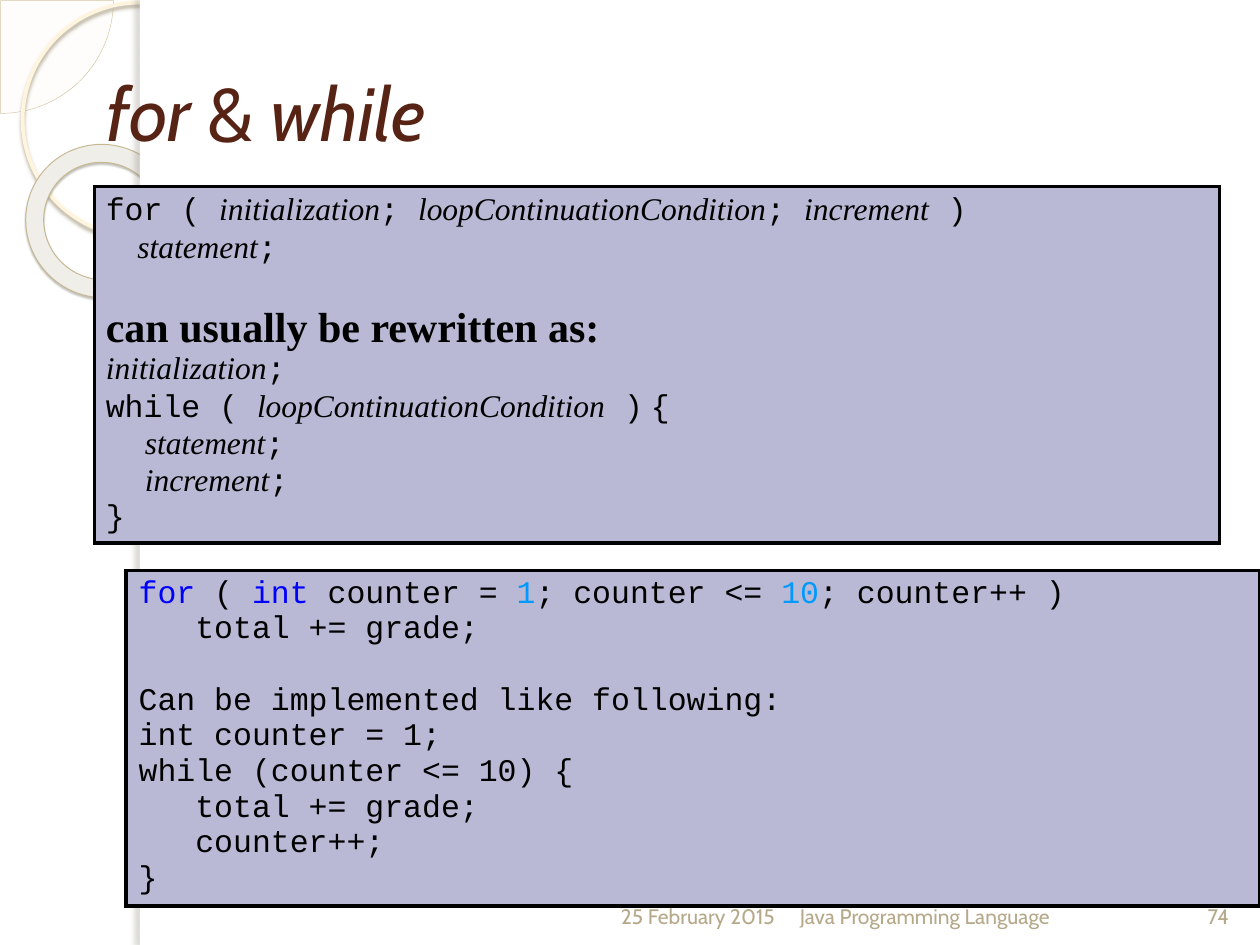
from lxml.etree import SubElement
from pptx import Presentation
from pptx.dml.color import RGBColor
from pptx.enum.shapes import MSO_SHAPE
from pptx.enum.text import MSO_ANCHOR, PP_ALIGN
from pptx.oxml.ns import qn
from pptx.util import Inches, Pt

MONO, SERIF, SANS = "Courier New", "Times New Roman", "Cabin"
BLACK, BLUE, CYAN = "000000", "0000FF", "0099FF"
BROWN, TAN, PANEL, WHITE = "572314", "B6A98A", "B9B9D5", "FFFFFF"
# Line heights in points
CODE_LINE, MIXED_LINE, HEADING_LINE = 20.4, 21.4, 27.6


def color(value):
    return RGBColor.from_string(value)


def place(values):
    return [Inches(value) for value in values]


def add_color(parent, value, alpha=None):
    node = SubElement(parent, qn("a:srgbClr"), val=value)
    if alpha is not None:
        SubElement(node, qn("a:alpha"), val=str(alpha * 1000))


def add_decoration(page, kind, at, fill=None, line=None, shadow=None, alpha=None):
    """line is (color, points); shadow is (color, alpha, blur, distance, angle)."""
    shape = page.shapes.add_shape(kind, *place(at))
    shape.shadow.inherit = False
    if fill:
        shape.fill.solid()
        shape.fill.fore_color.rgb = color(fill)
        if alpha is not None:
            node = shape.element.spPr.find(qn("a:solidFill"))[0]
            SubElement(node, qn("a:alpha"), val=str(alpha * 1000))
    else:
        shape.fill.background()
    if line:
        shape.line.color.rgb = color(line[0])
        shape.line.width = Pt(line[1])
    else:
        shape.line.fill.background()
    if shadow:
        tint, opacity, blur, distance, angle = shadow
        effects = shape.element.spPr.find(qn("a:effectLst"))
        node = SubElement(effects, qn("a:outerShdw"), blurRad=str(Pt(blur)),
                          dist=str(Pt(distance)), dir=str(angle * 60000),
                          algn="tl", rotWithShape="0")
        add_color(node, tint, opacity)
    return shape


def add_span(para, text, size, font, tint, italic=False, bold=False):
    span = para.add_run()
    span.text = text
    span.font.size = Pt(size)
    span.font.name = font
    span.font.color.rgb = color(tint)
    span.font.italic = italic
    span.font.bold = bold


def add_label(page, at, spans, size, tint, anchor, align=PP_ALIGN.LEFT):
    """spans holds (text, italic) pairs."""
    frame = page.shapes.add_textbox(*place(at)).text_frame
    frame.word_wrap = True
    frame.vertical_anchor = anchor
    para = frame.paragraphs[0]
    para.alignment = align
    for text, italic in spans:
        add_span(para, text, size, SANS, tint, italic)


def add_code_panel(page, at, inset, lines):
    """Each line is (indent in inches, space before, line height, spans)."""
    table = page.shapes.add_table(1, 1, *place(at)).table
    table.first_row = table.horz_banding = False
    cell = table.cell(0, 0)
    cell.margin_left = cell.margin_right = Inches(inset)
    cell.margin_top, cell.margin_bottom = Inches(0.05), Inches(0)
    # Borders come before the fill
    properties = cell._tc.get_or_add_tcPr()
    for side in "LRTB":
        border = SubElement(properties, qn("a:ln" + side), w=str(Pt(2.25)))
        add_color(SubElement(border, qn("a:solidFill")), BLACK)
    cell.fill.solid()
    cell.fill.fore_color.rgb = color(PANEL)

    # Fixed line heights keep the row at its set height
    frame = cell.text_frame
    for index, (indent, gap, height, spans) in enumerate(lines):
        para = frame.add_paragraph() if index else frame.paragraphs[0]
        para.space_before = Pt(gap)
        para.line_spacing = Pt(height)
        if indent:
            para._p.get_or_add_pPr().set("marL", str(Inches(indent)))
        for span in spans:
            add_span(para, *span)


def code(text, tint=BLACK):
    return text, 18, MONO, tint


def term(text):
    return text, 18, SERIF, BLACK, True


def add_background(page):
    quarter = add_decoration(page, MSO_SHAPE.PIE, (-0.89, -0.89, 1.79, 1.79),
                             "FEFAF4", ("D3C39F", 0.25), alpha=33)
    quarter.adjustments[0], quarter.adjustments[1] = 0, 54
    add_decoration(page, MSO_SHAPE.OVAL, (0.18, 0.02, 1.86, 1.86),
                   line=("FFF5DE", 2.15), shadow=("B0A68F", 85, 2, 2, 90))
    ring = add_decoration(page, MSO_SHAPE.DONUT, (0.2, 1.15, 1.23, 1.21), "EFEEE9",
                          ("C7B893", 0.58), ("5A5444", 35, 1, 1.2, 75))
    ring.adjustments[0] = 0.118
    ring.rotation = 38.6
    add_decoration(page, MSO_SHAPE.RECTANGLE, (1.11, 0, 8.89, 7.5), WHITE)
    add_decoration(page, MSO_SHAPE.RECTANGLE, (1.11, 0, 0.08, 7.5), WHITE,
                   shadow=("736F63", 25, 3, 3, 180))


def main():
    deck = Presentation()
    deck.slide_width, deck.slide_height = Inches(10), Inches(7.5)
    page = deck.slides.add_slide(deck.slide_layouts[6])
    add_background(page)

    # Title
    add_label(page, (0.75, 0.11, 8.9, 1.55),
              [("for", True), (" & ", False), ("while", True)],
              43, BROWN, MSO_ANCHOR.MIDDLE)

    # General form of both loops
    heading = ("can usually be rewritten as:", 24, SERIF, BLACK, False, True)
    add_code_panel(page, (0.75, 1.48, 8.93, 2.83), 0.09, [
        (0, 0, MIXED_LINE, [
            code("for ( "), term("initialization"), code("; "),
            term("loopContinuationCondition"), code("; "),
            term("increment"), code(" )")]),
        (0.25, 0, MIXED_LINE, [term("statement"), code(";")]),
        (0, CODE_LINE, HEADING_LINE, [heading]),
        (0, 0, MIXED_LINE, [term("initialization"), code(";")]),
        (0, 0, MIXED_LINE, [
            code("while ( "), term("loopContinuationCondition"),
            code(" )"), term(" "), code("{")]),
        (0.31, 0, MIXED_LINE, [term("statement"), code(";")]),
        (0.31, 0, MIXED_LINE, [term("increment"), code(";")]),
        (0, 0, CODE_LINE, [code("}")]),
    ])

    # Worked example
    example = [
        (0, 0, [code("for", BLUE), code(" ( "), code("int", BLUE),
                code(" counter = "), code("1", CYAN), code("; counter <= "),
                code("10", CYAN), code("; counter++ )")]),
        (0.45, 0, [code("total += grade;")]),
        (0, CODE_LINE, [code("Can be implemented like following:")]),
        (0, 0, [code("int counter = 1;")]),
        (0, 0, [code("while (counter <= 10) {")]),
        (0.45, 0, [code("total += grade;")]),
        (0.45, 0, [code("counter++;")]),
        (0, 0, [code("}")]),
    ]
    add_code_panel(page, (1, 4.53, 9, 2.66), 0.1,
                   [(indent, gap, CODE_LINE, spans) for indent, gap, spans in example])

    # Footer
    for left, width, text, align in [
        (3.92, 2.33, "25 February 2015", PP_ALIGN.RIGHT),
        (6.25, 3.17, "Java Programming Language", PP_ALIGN.LEFT),
        (9.42, 0.5, "74", PP_ALIGN.CENTER),
    ]:
        add_label(page, (left, 6.9, width, 0.52), [(text, False)],
                  12, TAN, MSO_ANCHOR.BOTTOM, align)
    deck.save("out.pptx")


main()
